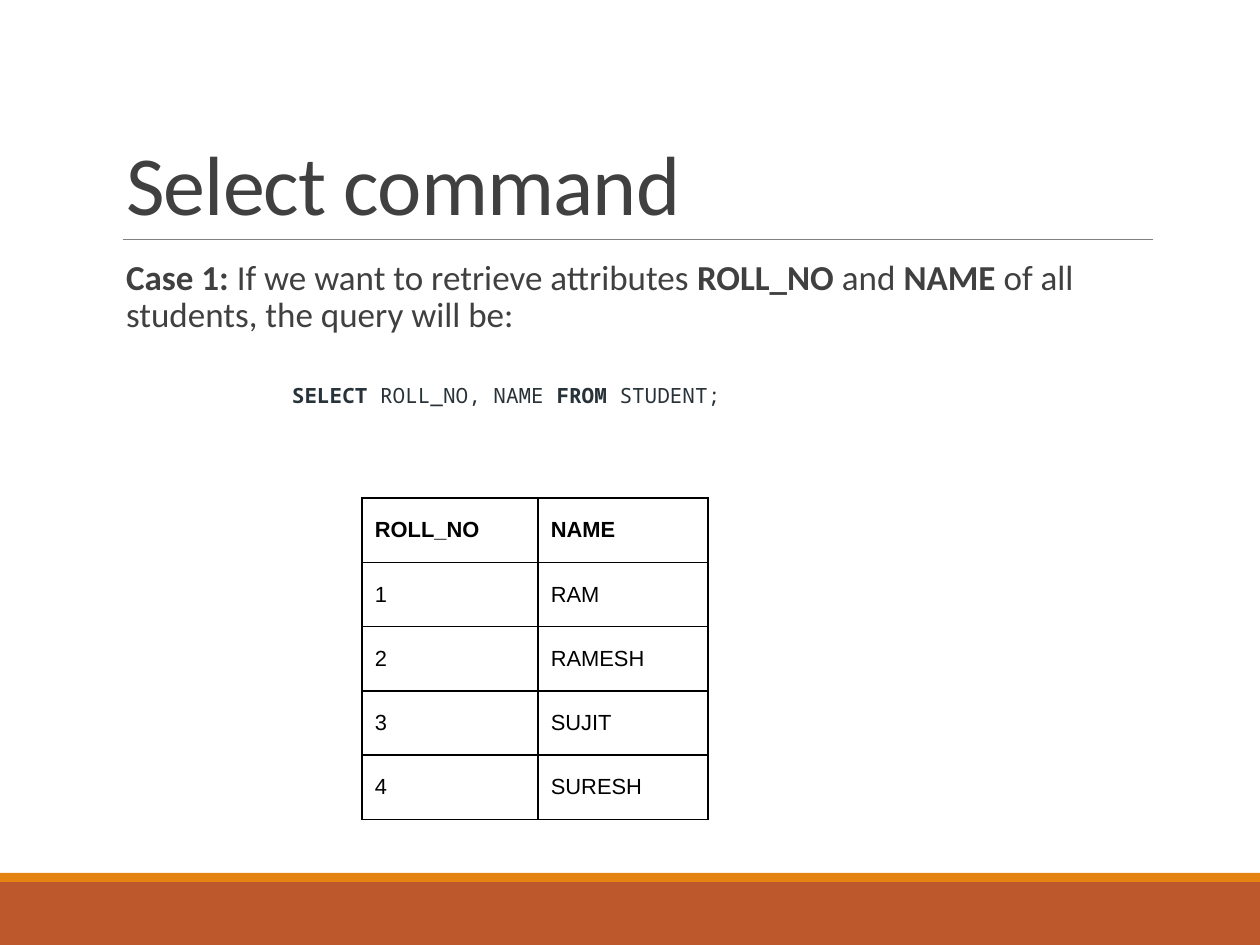
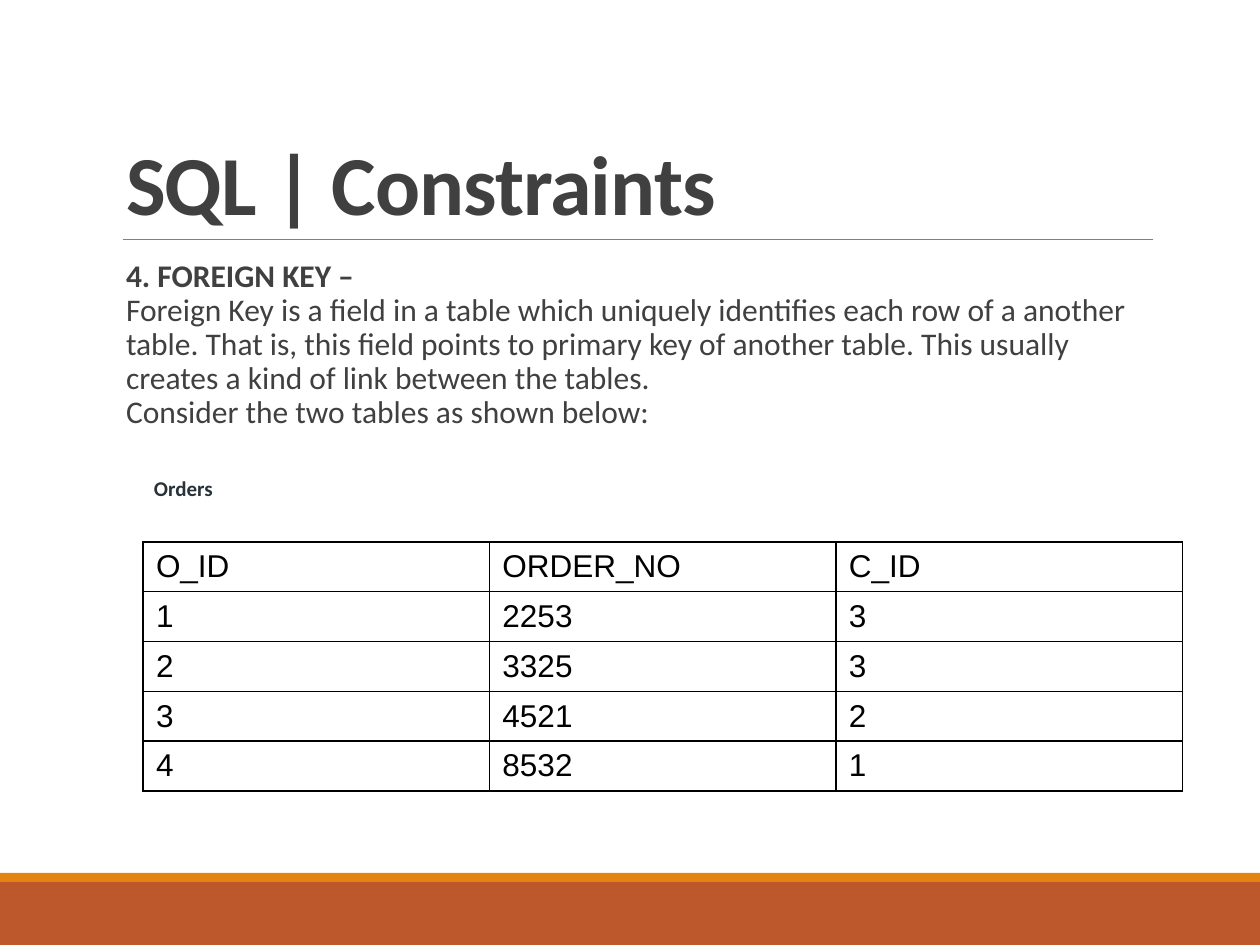
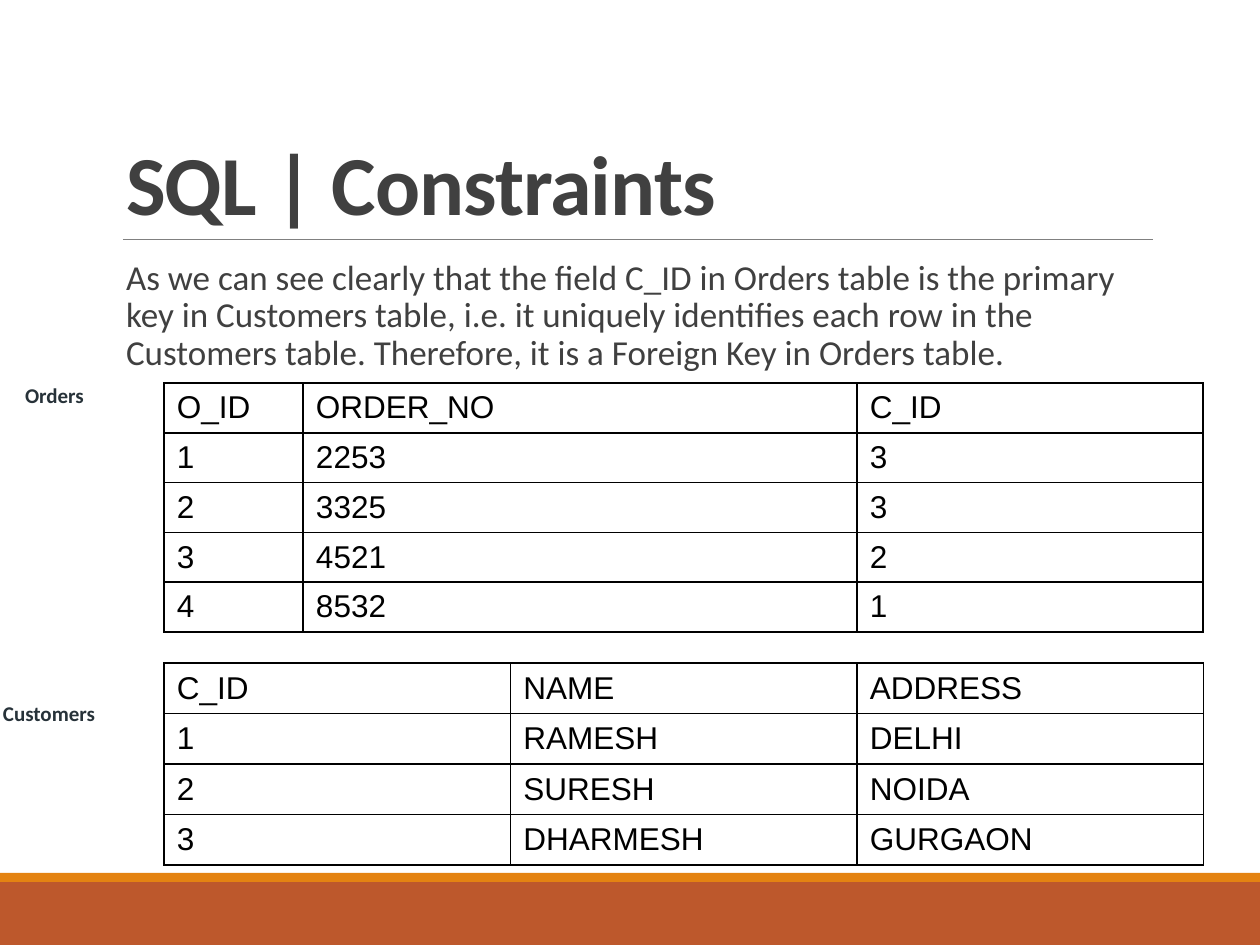
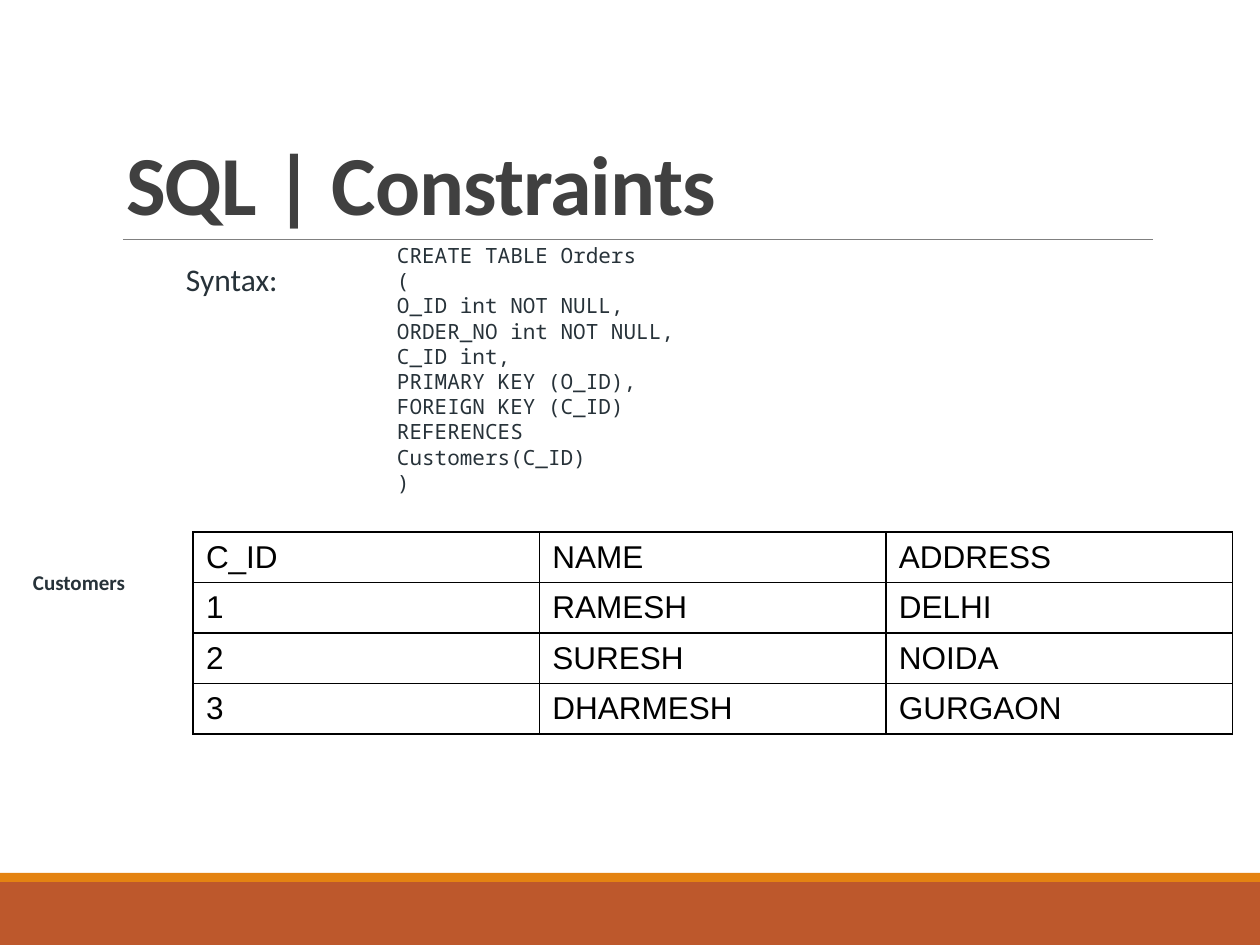
from lxml.etree import SubElement
from pptx import Presentation
from pptx.dml.color import RGBColor
from pptx.enum.shapes import MSO_CONNECTOR, MSO_SHAPE
from pptx.enum.text import MSO_ANCHOR, PP_ALIGN
from pptx.oxml import parse_xml
from pptx.oxml.ns import nsdecls, qn
from pptx.util import Emu, Pt

# Shared look
PX = 914400 // 126
WIDTH, HEIGHT = 1260, 945
COLORS = {
    "band": "BD582C", "stripe": "E48312", "rule": "808080",
    "text": "404040", "code": "273239", "black": "000000", "white": "FFFFFF",
}
SANS, MONO, GRID = "Calibri", "Noto Sans Mono", "Arial"

# Table contents
STUDENTS = [("ROLL_NO", "NAME"), ("1", "RAM"), ("2", "RAMESH"),
            ("3", "SUJIT"), ("4", "SURESH")]
ORDERS = [("O_ID", "ORDER_NO", "C_ID"), ("1", "2253", "3"), ("2", "3325", "3"),
          ("3", "4521", "2"), ("4", "8532", "1")]
CUSTOMERS = [("C_ID", "NAME", "ADDRESS"), ("1", "RAMESH", "DELHI"),
             ("2", "SURESH", "NOIDA"), ("3", "DHARMESH", "GURGAON")]
CREATE_ORDERS = [
    "CREATE TABLE Orders", "(", "O_ID int NOT NULL,", "ORDER_NO int NOT NULL,",
    "C_ID int,", "PRIMARY KEY (O_ID),", "FOREIGN KEY (C_ID)",
    "REFERENCES Customers(C_ID)", ")",
]


def px(n):
    return Emu(n * PX)


def rgb(name):
    return RGBColor.from_string(COLORS[name])


def style(r, size, font, color, bold=False):
    r.font.size = Pt(size)
    r.font.name = font
    r.font.bold = bold
    r.font.color.rgb = rgb(color)


def write(p, text, size, font, color):
    """Write a paragraph; *stars* mark bold, newlines break the line."""
    for i, part in enumerate(text.split("*")):
        for j, line in enumerate(part.split("\n")):
            if j:
                p.add_line_break()
            if line:
                r = p.add_run()
                r.text = line
                style(r, size, font, color, bold=i % 2 == 1)


def set_frame(tf, margins, anchor=MSO_ANCHOR.TOP):
    tf.word_wrap = True
    tf.vertical_anchor = anchor
    tf.margin_left, tf.margin_top, tf.margin_right, tf.margin_bottom = map(px, margins)


def add_text(slide, box, lines, size, font, color, margins=(0, 0, 0, 0),
             anchor=MSO_ANCHOR.TOP, spacing=None):
    tf = slide.shapes.add_textbox(*map(px, box)).text_frame
    set_frame(tf, margins, anchor)
    for i, line in enumerate(lines):
        p = tf.add_paragraph() if i else tf.paragraphs[0]
        p.line_spacing = spacing
        write(p, line, size, font, color)
    return tf


def add_rect(slide, box, color):
    sp = slide.shapes.add_shape(MSO_SHAPE.RECTANGLE, *map(px, box))
    sp.shadow.inherit = False
    sp.fill.solid()
    sp.fill.fore_color.rgb = rgb(color)
    sp.line.fill.background()
    return sp


def add_label(slide, x, y, width, text):
    """Bold table name on a white plate."""
    tf = add_rect(slide, (x, y, width, 50), "white").text_frame
    set_frame(tf, (0, 0, 0, 0))
    p = tf.paragraphs[0]
    p.alignment = PP_ALIGN.LEFT
    write(p, f"*{text}*", 12, SANS, "code")


def add_body(slide, text, size):
    add_text(slide, (113, 254, 1040, 554), [text], size, SANS, "text",
             margins=(13, 6, 0, 6), spacing=0.9)


def add_code(slide, box, lines, bottom=0):
    add_text(slide, box, lines, 12, MONO, "code",
             margins=(0, 0, 0, bottom), anchor=MSO_ANCHOR.MIDDLE)


def set_borders(cell):
    tc_pr = cell._tc.get_or_add_tcPr()
    for i, side in enumerate(("lnL", "lnR", "lnT", "lnB")):
        tc_pr.insert(i, parse_xml(
            f'<a:{side} {nsdecls("a")} w="12700"><a:solidFill>'
            f'<a:srgbClr val="{COLORS["black"]}"/></a:solidFill></a:{side}>'))


def add_grid(slide, x, y, widths, height, rows, size=18, pad=6, bold_head=False):
    table = slide.shapes.add_table(len(rows), len(widths), px(x), px(y),
                                   px(sum(widths)), px(height)).table
    table.first_row = table.horz_banding = False
    for column, width in zip(table.columns, widths):
        column.width = px(width)
    for i, values in enumerate(rows):
        table.rows[i].height = px(height) // len(rows)
        for j, value in enumerate(values):
            cell = table.cell(i, j)
            cell.text = value
            style(cell.text_frame.paragraphs[0].runs[0], size, GRID, "black",
                  bold_head and i == 0)
            cell.vertical_anchor = MSO_ANCHOR.MIDDLE
            cell.margin_left = cell.margin_right = px(13)
            cell.margin_top = cell.margin_bottom = px(pad)
            cell.fill.solid()
            cell.fill.fore_color.rgb = rgb("white")
            set_borders(cell)


def add_customers(slide, x, y):
    add_grid(slide, x, y, [346.5] * 3, 202, CUSTOMERS)


def new_slide(prs, title):
    """Blank slide with the bands, the rule and the title."""
    slide = prs.slides.add_slide(prs.slide_layouts[6])
    add_rect(slide, (0, 882, WIDTH, 63), "band")
    add_rect(slide, (0, 873, WIDTH, 9), "stripe")
    rule = slide.shapes.add_connector(MSO_CONNECTOR.STRAIGHT,
                                      px(123), px(239), px(1153), px(239))
    rule.line.color.rgb = rgb("rule")
    rule.line.width = Pt(0.5)
    SubElement(rule._element.spPr, qn("a:effectLst"))
    tf = add_text(slide, (113, 39, 1040, 200), [title], 48, SANS, "text",
                  margins=(13, 6, 13, 6), anchor=MSO_ANCHOR.BOTTOM, spacing=0.85)
    for r in tf.paragraphs[0].runs:
        r._r.get_or_add_rPr().set("spc", "-50")
    return slide


def select_slide(prs):
    slide = new_slide(prs, "Select command")
    add_body(slide, "*Case 1:* If we want to retrieve attributes *ROLL_NO* and "
                    "*NAME* of all students, the query will be:", 20)
    add_code(slide, (292, 383, 469, 25),
             ["*SELECT* ROLL_NO, NAME *FROM* STUDENT;"])
    add_grid(slide, 362, 498, [176, 170], 315, STUDENTS,
             size=12.5, pad=19, bold_head=True)


def foreign_key_slide(prs):
    slide = new_slide(prs, "*SQL | Constraints*")
    add_body(slide, "*4. FOREIGN KEY –*\nForeign Key is a field in a table which "
                    "uniquely identifies each row of a another table. That is, this "
                    "field points to primary key of another table. This usually "
                    "creates a kind of link between the tables.\n"
                    "Consider the two tables as shown below:", 18)
    add_grid(slide, 143, 542, [346.5] * 3, 240, ORDERS)
    add_label(slide, 154, 476, 417, "Orders")


def linked_tables_slide(prs):
    slide = new_slide(prs, "*SQL | Constraints*")
    add_body(slide, "As we can see clearly that the field C_ID in Orders table is the "
                    "primary key in Customers table, i.e. it uniquely identifies each "
                    "row in the Customers table. Therefore, it is a Foreign Key in "
                    "Orders table.", 20)
    add_grid(slide, 164, 383, [139, 554, 346], 240, ORDERS)
    add_label(slide, 25, 383, 118, "Orders")
    add_customers(slide, 164, 663)
    add_label(slide, 3, 701, 131, "Customers")


def syntax_slide(prs):
    slide = new_slide(prs, "*SQL | Constraints*")
    add_customers(slide, 193, 532)
    add_label(slide, 33, 570, 131, "Customers")
    add_code(slide, (397, 254, 316, 238), CREATE_ORDERS, bottom=9)
    add_text(slide, (174, 254, 140, 50), ["Syntax:"], 18, SANS, "code",
             margins=(12, 6, 12, 6))


def main():
    prs = Presentation()
    prs.slide_width, prs.slide_height = px(WIDTH), px(HEIGHT)
    select_slide(prs)
    foreign_key_slide(prs)
    linked_tables_slide(prs)
    syntax_slide(prs)
    prs.save("out.pptx")


main()
